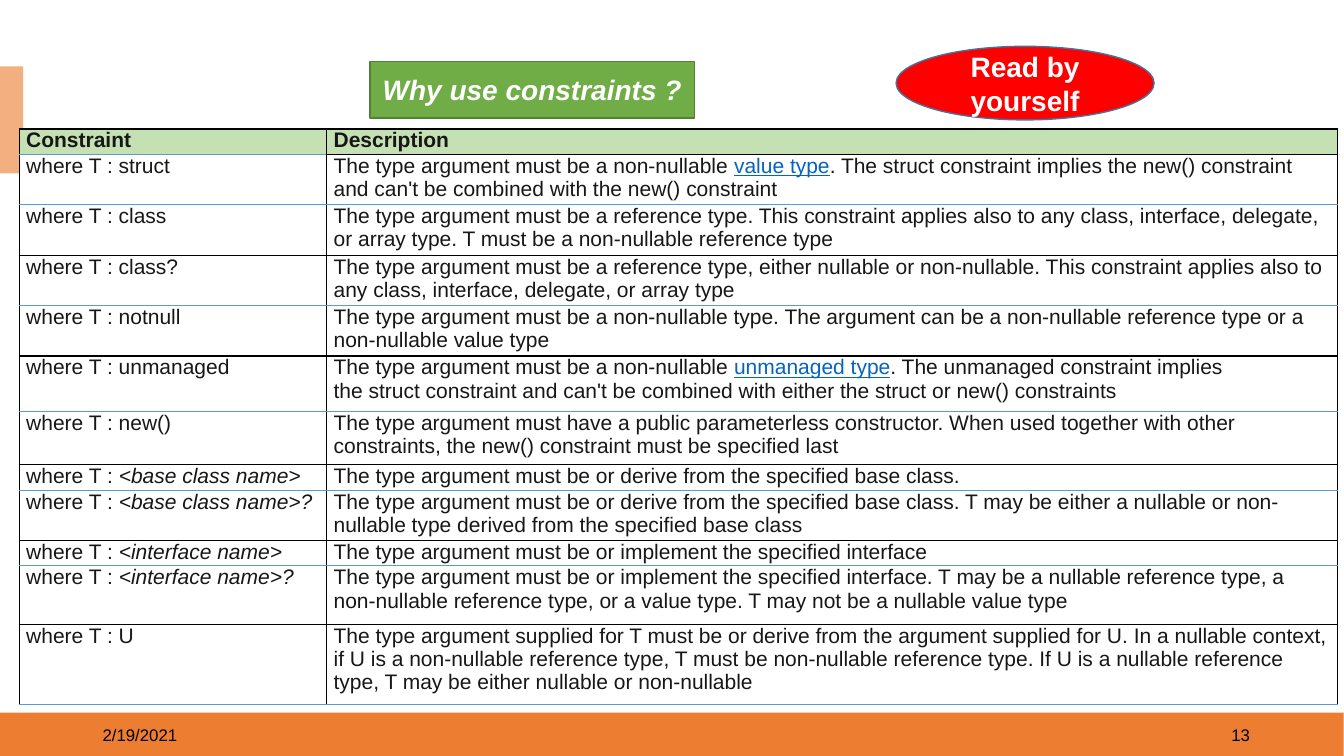
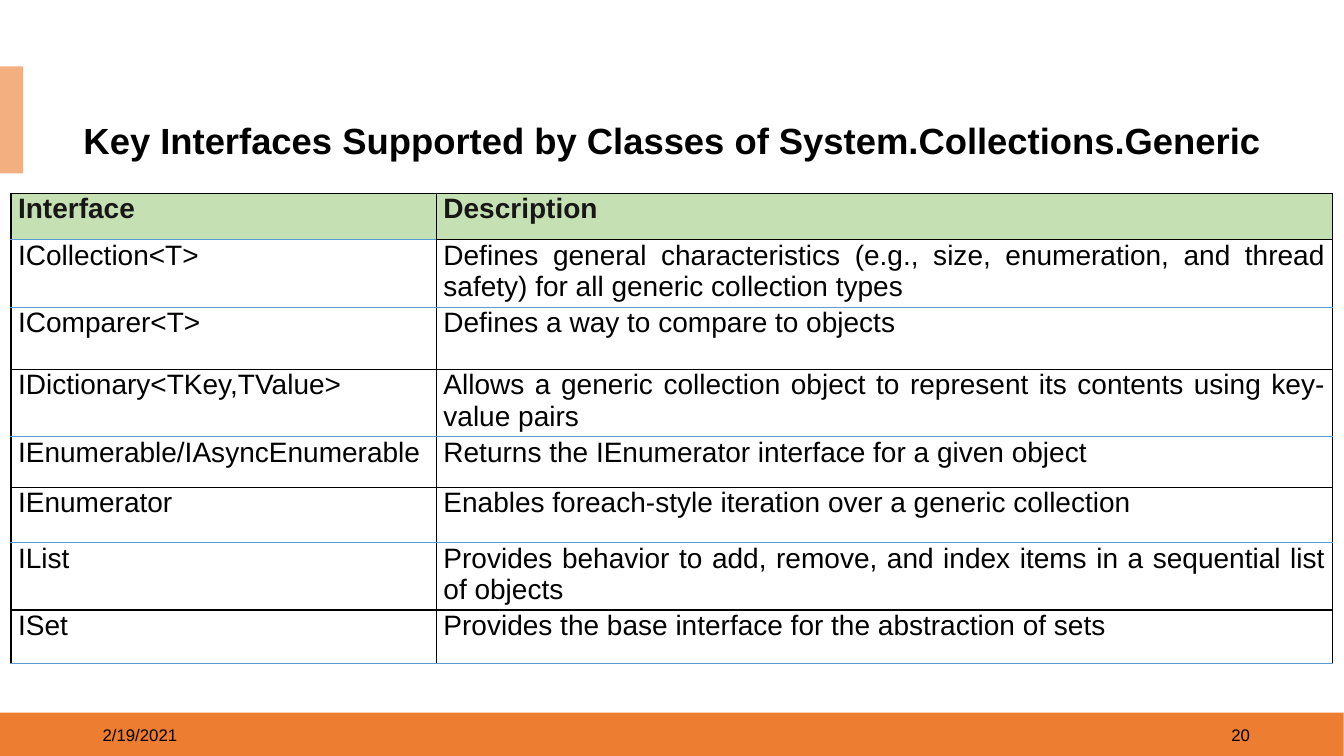
"""Build two slides of reference tables on generic constraints and interfaces."""
from dataclasses import dataclass

from lxml import etree
from pptx import Presentation
from pptx import util as u
from pptx.dml.color import RGBColor
from pptx.enum import shapes, text
from pptx.oxml import ns

DATE = "2/19/2021"
HARD_SPACE = chr(160)

CONSTRAINTS = {
    "number": "13",
    "at": (0.19, 1.28),
    "columns": (3.05, 10.03),
    "heights": (0.24, 0.5, 0.5, 0.5, 0.5, 0.55, 0.53, 0.24, 0.5, 0.24, 0.58, 0.8),
    "rows": [
        ("Constraint", "Description"),
        ("where T : struct",
         ["The type argument must be a non-nullable ", ("value type", "link"),
          ". The struct constraint implies the new() constraint and can't be "
          "combined with the new() constraint"]),
        ("where T : class",
         "The type argument must be a reference type. This constraint applies also to any "
         "class, interface, delegate, or array type. T must be a non-nullable reference type"),
        ("where T : class?",
         "The type argument must be a reference type, either nullable or non-nullable. This "
         "constraint applies also to any class, interface, delegate, or array type"),
        ("where T : notnull",
         "The type argument must be a non-nullable type. The argument can be a non-nullable "
         "reference type or a non-nullable value type"),
        ("where T : unmanaged",
         ["The type argument must be a non-nullable ", ("unmanaged type", "link"),
          ". The unmanaged constraint implies "
          f"the{HARD_SPACE}struct{HARD_SPACE}constraint and can't be "
          "combined with either the struct or new() constraints"]),
        ("where T : new()",
         "The type argument must have a public parameterless constructor. When used together "
         "with other constraints, the new() constraint must be specified last"),
        (["where T : ", ("<base class name>", "italic")],
         "The type argument must be or derive from the specified base class."),
        (["where T : ", ("<base class name>?", "italic")],
         "The type argument must be or derive from the specified base class. T may be either "
         "a nullable or non-nullable type derived from the specified base class"),
        (["where T : ", ("<interface name>", "italic")],
         "The type argument must be or implement the specified interface"),
        (["where T : ", ("<interface name>?", "italic")],
         "The type argument must be or implement the specified interface. T may be a nullable "
         "reference type, a non-nullable reference type, or a value type. T may not be a "
         "nullable value type"),
        ("where T : U",
         "The type argument supplied for T must be or derive from the argument supplied for "
         "U. In a nullable context, if U is a non-nullable reference type, T must be "
         "non-nullable reference type. If U is a nullable reference type, T may be either "
         "nullable or non-nullable"),
    ],
}

INTERFACES = {
    "number": "20",
    "at": (0.11, 1.92),
    "columns": (4.22, 8.89),
    "heights": (0.46, 0.66, 0.62, 0.66, 0.5, 0.55, 0.66, 0.53),
    "rows": [
        ("Interface", "Description"),
        ("ICollection<T>",
         "Defines general characteristics (e.g., size, enumeration, and thread safety) for "
         "all generic collection types"),
        ("IComparer<T>", "Defines a way to compare to objects"),
        ("IDictionary<TKey,TValue>",
         "Allows a generic collection object to represent its contents using key-value pairs"),
        ("IEnumerable/IAsyncEnumerable",
         "Returns the IEnumerator interface for a given object"),
        ("IEnumerator", "Enables foreach-style iteration over a generic collection"),
        ("IList",
         "Provides behavior to add, remove, and index items in a sequential list of objects"),
        ("ISet", "Provides the base interface for the abstraction of sets"),
    ],
}


@dataclass(frozen=True)
class Theme:
    font: str = "Arial"
    black: str = "000000"
    white: str = "FFFFFF"
    ink: str = "171717"
    link: str = "0563C1"
    band: str = "ED7D31"
    tab: str = "F4AF80"
    header: str = "C5E0B3"
    rule: str = "5B9BD5"
    red: str = "FF0000"
    red_edge: str = "43739E"
    green: str = "70AD47"
    green_edge: str = "538035"
    footer_size: int = 12
    small_size: int = 15
    label_size: int = 20
    title_size: int = 26


THEME = Theme()
ALIGN = text.PP_ALIGN


def write(frame, content, size, color=THEME.black, bold=False, italic=False,
          align=ALIGN.LEFT, spacing=1.0, anchor=text.MSO_ANCHOR.MIDDLE):
    """Fill a text frame from a string or a list of plain and (text, style) runs."""
    frame.word_wrap = True
    frame.vertical_anchor = anchor
    paragraph = frame.paragraphs[0]
    paragraph.alignment = align
    paragraph.line_spacing = spacing
    for part in [content] if isinstance(content, str) else content:
        words, style = (part, None) if isinstance(part, str) else part
        run = paragraph.add_run()
        run.text = words
        font = run.font
        font.name, font.size, font.bold = THEME.font, u.Pt(size), bold
        font.italic = italic or style == "italic"
        font.underline = style == "link"
        font.color.rgb = RGBColor.from_string(THEME.link if style == "link" else color)


def add_box(slide, kind, at, fill, edge=None):
    """Add a flat filled shape with an optional outline."""
    shape = slide.shapes.add_shape(kind, *map(u.Inches, at))
    shape.shadow.inherit = False
    shape.fill.solid()
    shape.fill.fore_color.rgb = RGBColor.from_string(fill)
    if edge:
        shape.line.color.rgb = RGBColor.from_string(edge)
        shape.line.width = u.Pt(1)
    else:
        shape.line.fill.background()
    return shape


def add_text(slide, at, content, size, **style):
    """Add a text box."""
    box = slide.shapes.add_textbox(*map(u.Inches, at))
    write(box.text_frame, content, size, **style)


def set_borders(cell, **colors):
    """Draw one-point cell borders, given by side letter in L, R, T, B order."""
    properties = cell._tc.get_or_add_tcPr()
    for side, color in colors.items():
        line = etree.SubElement(properties, ns.qn(f"a:ln{side}"), w=str(u.Pt(1)))
        fill = etree.SubElement(line, ns.qn("a:solidFill"))
        etree.SubElement(fill, ns.qn("a:srgbClr"), val=color)


def add_grid(slide, data, size, color, align):
    """Add a two-column table whose row rules alternate between black and blue."""
    rows, widths, heights = data["rows"], data["columns"], data["heights"]
    extent = (*data["at"], sum(widths), sum(heights))
    table = slide.shapes.add_table(len(rows), len(widths), *map(u.Inches, extent)).table
    table.horz_banding = False
    for column, width in zip(table.columns, widths):
        column.width = u.Inches(width)
    for row, height in zip(table.rows, heights):
        row.height = u.Inches(height)

    def rule_below(r, c):
        return THEME.rule if r % 2 or (r, c) == (0, 0) else THEME.black

    for r, row in enumerate(rows):
        for c, content in enumerate(row):
            cell = table.cell(r, c)
            cell.margin_left = cell.margin_right = u.Inches(0.07)
            cell.margin_top = cell.margin_bottom = 0
            set_borders(cell, L=THEME.black, R=THEME.black,
                        T=rule_below(r - 1, c) if r else THEME.black, B=rule_below(r, c))
            cell.fill.solid()
            cell.fill.fore_color.rgb = RGBColor.from_string(THEME.white if r else THEME.header)
            write(cell.text_frame, content, size, color=color if r else THEME.ink, bold=r == 0,
                  align=align if r and c else ALIGN.LEFT, anchor=text.MSO_ANCHOR.TOP)


def add_bands(slide, layout):
    """Place the bottom band and the side tab on the shared layout."""
    for at, fill in (((0, 7.07, 13.33, 0.44), THEME.band), ((0, 0.66, 0.23, 1.06), THEME.tab)):
        band = add_box(slide, shapes.MSO_SHAPE.RECTANGLE, at, fill)
        layout.shapes.element.append(band.element)


def start_slide(presentation, layout, number):
    """Add a slide with its date and number."""
    slide = presentation.slides.add_slide(layout)
    add_text(slide, (0.92, 7.09, 3, 0.4), DATE, THEME.footer_size)
    add_text(slide, (9.5, 7.09, 3, 0.4), number, THEME.footer_size, align=ALIGN.RIGHT)
    return slide


def main():
    """Build and save the presentation."""
    presentation = Presentation()
    presentation.slide_width, presentation.slide_height = u.Inches(40 / 3), u.Inches(7.5)
    layout = presentation.slide_layouts[6]

    slide = start_slide(presentation, layout, CONSTRAINTS["number"])
    add_bands(slide, layout)
    add_grid(slide, CONSTRAINTS, THEME.small_size, THEME.ink, ALIGN.LEFT)
    label = {"size": THEME.label_size, "color": THEME.white, "bold": True, "align": ALIGN.CENTER}
    badge = add_box(slide, shapes.MSO_SHAPE.OVAL, (8.89, 0.46, 2.56, 0.73),
                    THEME.red, THEME.red_edge)
    write(badge.text_frame, "Read by yourself", **label)
    heading = add_box(slide, shapes.MSO_SHAPE.RECTANGLE, (3.67, 0.61, 3.22, 0.56),
                      THEME.green, THEME.green_edge)
    write(heading.text_frame, "Why use constraints ?", italic=True, **label)

    slide = start_slide(presentation, layout, INTERFACES["number"])
    title = add_box(slide, shapes.MSO_SHAPE.RECTANGLE, (0.73, 1.15, 12.09, 0.55), THEME.white)
    write(title.text_frame, "Key Interfaces Supported by Classes of System.Collections.Generic",
          THEME.title_size, bold=True, spacing=0.8)
    add_grid(slide, INTERFACES, THEME.label_size, THEME.black, ALIGN.JUSTIFY)

    presentation.save("out.pptx")


if __name__ == "__main__":
    main()
